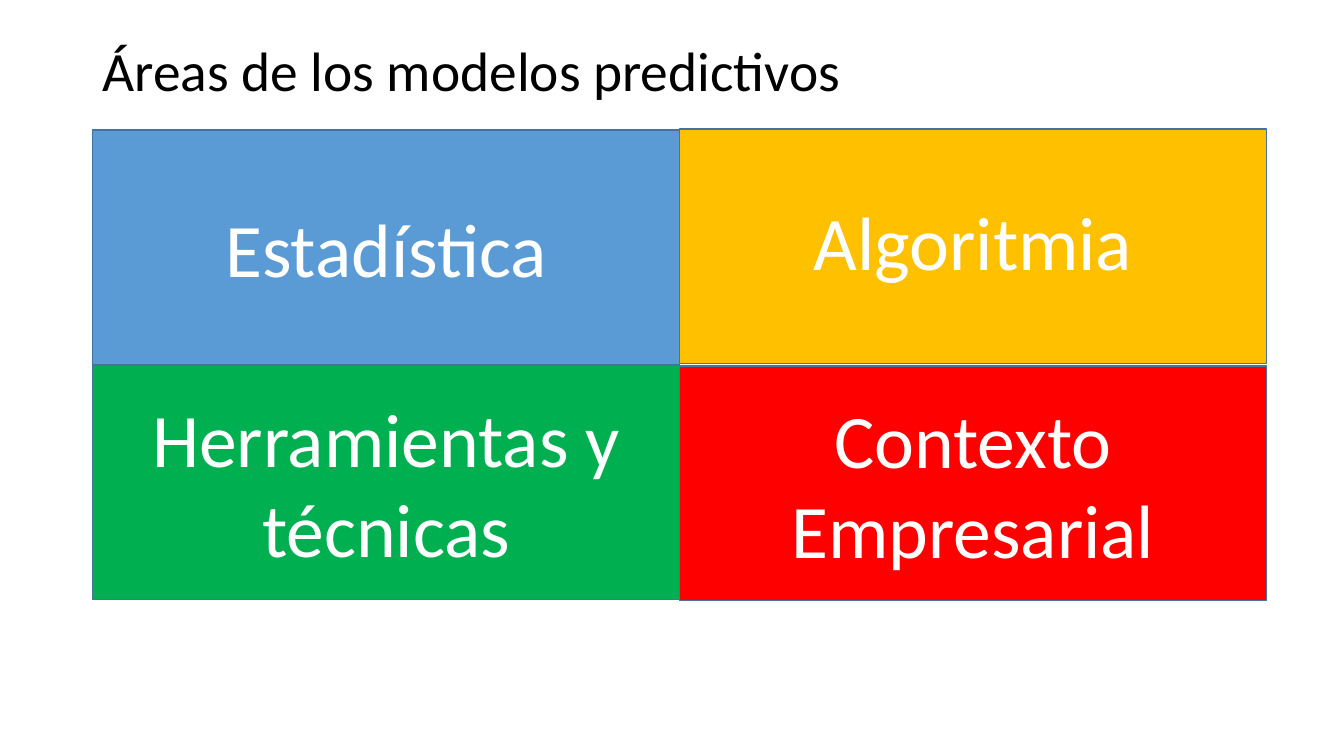
from pptx import Presentation
from pptx.dml.color import RGBColor
from pptx.enum.shapes import MSO_SHAPE
from pptx.enum.text import MSO_ANCHOR, PP_ALIGN
from pptx.util import Inches, Pt

RECT = MSO_SHAPE.RECTANGLE
MIDDLE = MSO_ANCHOR.MIDDLE
CENTER = PP_ALIGN.CENTER

# Label, fill, line spacing, space before, top offset; row by row
AREAS = [
    ("Estadística", "5B9BD5", 1.0, 0, 0.01),
    ("Algoritmia", "FFC000", 0.9, 10, 0),
    ("Herramientas y técnicas", "00B050", 1.0, 0, 0),
    ("Contexto Empresarial", "FF0000", 1.0, 0, 0.01),
]


def color(code):
    return RGBColor.from_string(code)


def write(frame, text, size, code, spacing):
    frame.word_wrap = True
    frame.vertical_anchor = MIDDLE
    par = frame.paragraphs[0]
    par.text = text
    par.line_spacing = spacing
    par.font.name = "Calibri"
    par.font.size = Pt(size)
    par.font.color.rgb = color(code)
    return par


def add_title(slide, left, top, width, height):
    box = slide.shapes.add_textbox(
        Inches(left), Inches(top), Inches(width), Inches(height))
    write(box.text_frame, "Áreas de los modelos predictivos", 39.6, "000000", 0.9)


def add_grid(slide, left, top, width, height):
    cell_w, cell_h = width / 2, height / 2
    for i, (label, fill, spacing, before, shift) in enumerate(AREAS):
        row, col = divmod(i, 2)
        cell = slide.shapes.add_shape(
            RECT, Inches(left + col * cell_w), Inches(top + row * cell_h + shift),
            Inches(cell_w), Inches(cell_h - 0.01))
        cell.shadow.inherit = False
        cell.fill.solid()
        cell.fill.fore_color.rgb = color(fill)
        cell.line.color.rgb = color("43739E")
        cell.line.width = Pt(1)
        par = write(cell.text_frame, label, 54, "FFFFFF", spacing)
        par.alignment = CENTER
        par.space_before = Pt(before)


def main():
    deck = Presentation()
    deck.slide_width = Inches(13.33)
    deck.slide_height = Inches(7.5)
    slide = deck.slides.add_slide(deck.slide_layouts[6])
    add_title(slide, 0.92, 0.4, 11.5, 0.66)
    add_grid(slide, 0.92, 1.28, 11.64, 4.68)
    deck.save("out.pptx")


if __name__ == "__main__":
    main()
